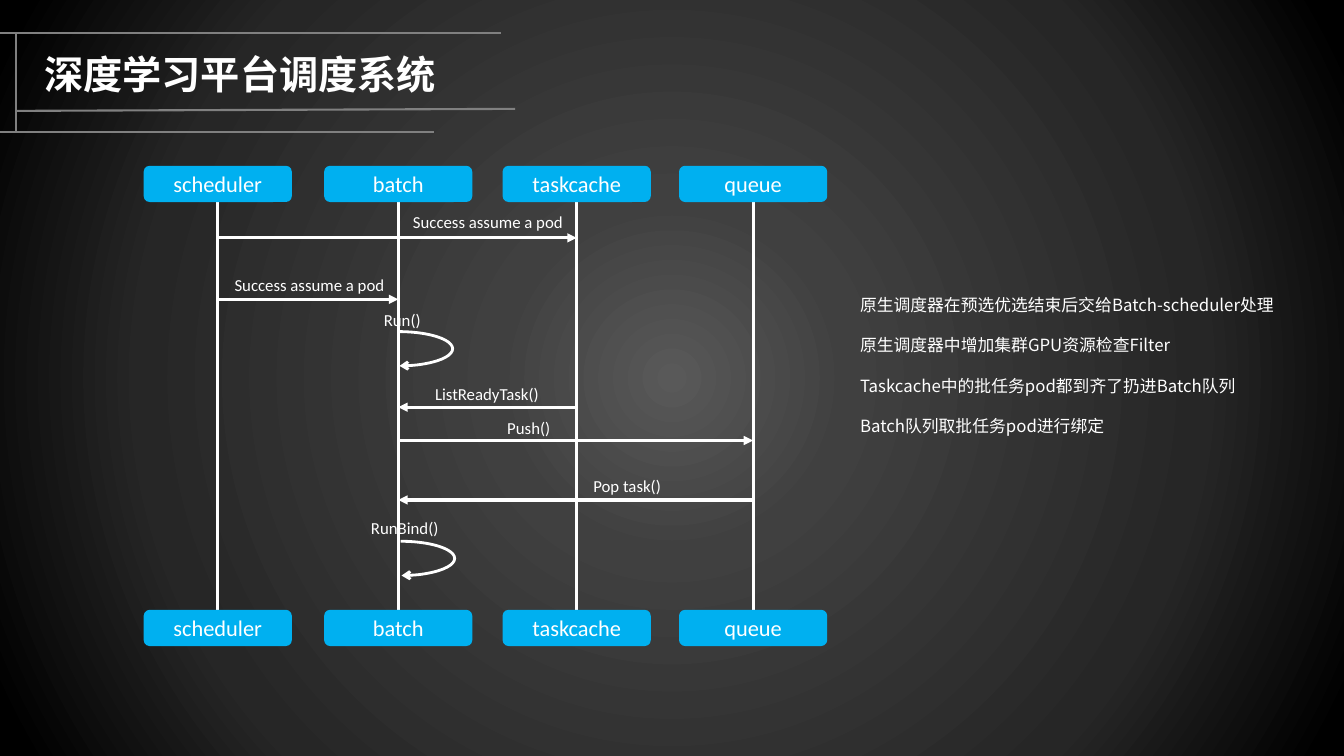
from pptx import Presentation, oxml
from pptx import util as u
from pptx.dml.color import RGBColor
from pptx.enum import shapes, text
from pptx.oxml.ns import nsdecls, qn
from lxml import etree

COLORS = {"rule": "808080", "actor": "00B0F0", "ink": "FFFFFF"}
GLOW = {0: "595959", 23: "404040", 69: "262626", 97: "000000"}
LATIN, CHINESE = "Calibri", "Noto Sans CJK SC"
CELL = u.Inches(0.1)  # the grid has ten cells to the inch


def write(para, words, size, font=LATIN, bold=False):
    span = para.add_run()
    span.text = words
    span.font.size = u.Pt(size)
    span.font.bold = bold
    span.font.color.rgb = RGBColor.from_string(COLORS["ink"])
    span.font.name = font
    etree.SubElement(span.font._element, qn("a:ea"), typeface=font)


def draw_line(x1, y1, x2, y2, color="ink", width=2.25, head=False):
    ends = [round(CELL * n) for n in (x1, y1, x2, y2)]
    line = page.shapes.add_connector(shapes.MSO_CONNECTOR.STRAIGHT, *ends)
    line.line.color.rgb = RGBColor.from_string(COLORS[color])
    line.line.width = u.Pt(width)
    if head:
        etree.SubElement(line.line._get_or_add_ln(), qn("a:tailEnd"), type="triangle")
    etree.SubElement(line._element.spPr, qn("a:effectLst"))


deck = Presentation()
deck.slide_width, deck.slide_height = u.Inches(13.33), u.Inches(7.5)
page = deck.slides.add_slide(deck.slide_layouts[1])

# Background glow from the centre
page.background.fill.gradient()
glow = page._element.find(".//" + qn("a:gradFill"))
stops = "".join(f'<a:gs pos="{pos * 1000}"><a:srgbClr val="{color}"/></a:gs>'
                for pos, color in GLOW.items())
glow.getparent().replace(glow, oxml.parse_xml(
    f'<a:gradFill {nsdecls("a")} rotWithShape="1"><a:gsLst>{stops}</a:gsLst>'
    '<a:path path="circle"><a:fillToRect l="50000" t="50000" r="50000" b="50000"/>'
    '</a:path></a:gradFill>'))

# Title and its ruled frame
for ends in [(0, 3.25, 49.7, 3.25), (0, 13.1, 43, 13.1),
             (1.6, 11, 51.1, 10.8), (1.6, 3.25, 1.6, 13.1)]:
    draw_line(*ends, color="rule", width=1.5)
title, body = page.placeholders
for box, cells in [(title, (3.4, 4.5, 41.3, 5.7)), (body, (85, 28.9, 45.4, 18.7))]:
    box.left, box.top, box.width, box.height = [round(CELL * n) for n in cells]
    box.text_frame.auto_size = text.MSO_AUTO_SIZE.NONE
title.text_frame.word_wrap = False
title.text_frame.vertical_anchor = text.MSO_ANCHOR.MIDDLE
title.text_frame.paragraphs[0].alignment = text.PP_ALIGN.LEFT
write(title.text_frame.paragraphs[0], "深度学习平台调度系统", 28, CHINESE, True)

# Lifelines with an actor at each end
LANES = {"scheduler": 21.6, "batch": 39.5, "taskcache": 57.2, "queue": 74.7}
ACTOR_W, ACTOR_H, TOP, BOTTOM = 14.7, 3.6, 16.45, 60.5
for name, x in LANES.items():
    draw_line(x, TOP + ACTOR_H, x, BOTTOM)
    for y in (TOP, BOTTOM):
        cells = (x - ACTOR_W / 2, y, ACTOR_W, ACTOR_H)
        actor = page.shapes.add_shape(shapes.MSO_SHAPE.ROUNDED_RECTANGLE,
                                      *[round(CELL * n) for n in cells])
        actor.shadow.inherit = False
        actor.fill.solid()
        actor.fill.fore_color.rgb = RGBColor.from_string(COLORS["actor"])
        actor.line.fill.background()
        frame = actor.text_frame
        frame.margin_left = frame.margin_right = u.Inches(0.03)
        frame.margin_top = frame.margin_bottom = u.Inches(0.03)
        frame.paragraphs[0].alignment = text.PP_ALIGN.CENTER
        write(frame.paragraphs[0], name, 16)

# Messages between lifelines
for start, end, y in [("scheduler", "taskcache", 23.6), ("scheduler", "batch", 29.7),
                      ("taskcache", "batch", 40.4), ("batch", "queue", 43.7),
                      ("queue", "batch", 49.6)]:
    draw_line(LANES[start], y, LANES[end], y, head=True)

# Calls of batch to itself
for x, y in [(34.2, 32.9), (34.4, 53.7)]:
    loop = page.shapes.add_shape(shapes.MSO_SHAPE.ARC,
                                 *[round(CELL * n) for n in (x, y, 10.7, 3.4)])
    loop.adjustments[0], loop.adjustments[1] = 162, 52.31
    loop.shadow.inherit = False
    loop.fill.background()
    loop.line.color.rgb = RGBColor.from_string(COLORS["ink"])
    loop.line.width = u.Pt(2)
    etree.SubElement(loop.line._get_or_add_ln(), qn("a:tailEnd"), type="arrow")

# Message labels: left, top, width, height
for words, cells in [("Success assume a pod", (34.8, 20.6, 27.2, 2.9)),
                     ("Success assume a pod", (17.1, 26.8, 27.2, 2.9)),
                     ("Run()", (37.4, 30.4, 5, 2.6)),
                     ("RunBind()", (36.1, 51.1, 8.1, 2.6)),
                     ("ListReadyTask()", (42.4, 37.8, 11.8, 2.6)),
                     ("Push()", (49.6, 41.1, 5.7, 2.6)),
                     ("Pop task()", (58.1, 46.9, 8.2, 2.6))]:
    label = page.shapes.add_textbox(*[round(CELL * n) for n in cells])
    frame = label.text_frame
    frame.word_wrap = False
    frame.vertical_anchor = text.MSO_ANCHOR.MIDDLE
    frame.margin_left = frame.margin_right = u.Inches(0.03)
    frame.margin_top = frame.margin_bottom = u.Inches(0.03)
    frame.paragraphs[0].alignment = text.PP_ALIGN.CENTER
    write(frame.paragraphs[0], words, 12)

# Explanation list
frame = body.text_frame
frame.word_wrap = True
frame.vertical_anchor = text.MSO_ANCHOR.TOP
frame.margin_left = frame.margin_right = u.Inches(0.03)
frame.margin_top = frame.margin_bottom = u.Inches(0.03)
for number, words in enumerate(["原生调度器在预选优选结束后交给Batch-scheduler处理",
                                "原生调度器中增加集群GPU资源检查Filter",
                                "Taskcache中的批任务pod都到齐了扔进Batch队列",
                                "Batch队列取批任务pod进行绑定"]):
    para = frame.add_paragraph() if number else frame.paragraphs[0]
    props = para._p.get_or_add_pPr()
    props.set("marL", "0")
    props.set("indent", "0")
    etree.SubElement(props, qn("a:buNone"))
    para.space_before = u.Pt(14.6 if number else 0)
    write(para, words, 12, CHINESE)

deck.save("out.pptx")
